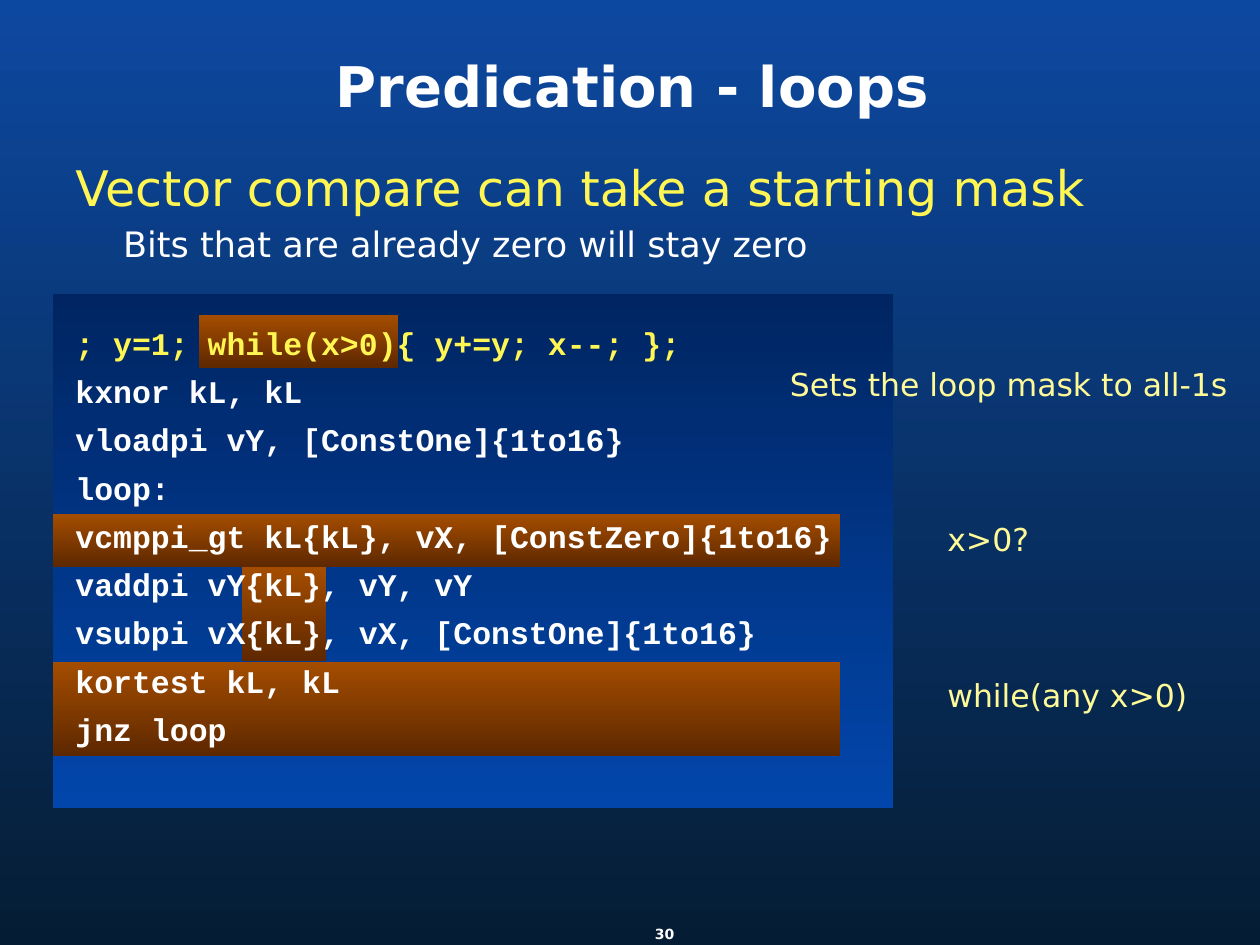
from pptx import Presentation
from pptx import util as u
from pptx.dml import color
from pptx.enum import shapes, text

COLORS = {
    "sky": "0D48A0", "night": "051D34",
    "panel_top": "002562", "panel_bottom": "0246AB",
    "mark_top": "A44D00", "mark_bottom": "5E2800",
    "white": "FFFFFF", "yellow": "FFF654", "pale": "FFFA98",
}
SANS, MONO = "DejaVu Sans", "Courier New"

CODE = [
    "; y=1; while(x>0){ y+=y; x--; };",
    "kxnor kL, kL",
    "vloadpi vY, [ConstOne]{1to16}",
    "loop:",
    "vcmppi_gt kL{kL}, vX, [ConstZero]{1to16}",
    "vaddpi vY{kL}, vY, vY",
    "vsubpi vX{kL}, vX, [ConstOne]{1to16}",
    "kortest kL, kL",
    "jnz loop",
]
HIGHLIGHTS = [  # left, top, width, height
    (1.92, 4.5, 0.67, 0.75),
    (1.58, 2.5, 1.58, 0.42),
    (0.42, 5.25, 6.25, 0.75),
    (0.42, 4.08, 6.25, 0.42),
]


def rgb(name):
    return color.RGBColor.from_string(COLORS[name])


def fill_gradient(fill, top, bottom):
    fill.gradient()
    fill.gradient_angle = 270
    for stop, name in zip(fill.gradient_stops, (top, bottom)):
        stop.color.rgb = rgb(name)


def add_block(slide, box, top, bottom):
    shape = slide.shapes.add_shape(
        shapes.MSO_SHAPE.RECTANGLE, *map(u.Inches, box))
    shape.shadow.inherit = False
    shape.line.fill.background()
    fill_gradient(shape.fill, top, bottom)


def write(paragraph, words, size, name, tint, bold=False, indent=0, **layout):
    paragraph.text = words
    font = {"size": u.Pt(size), "name": name, "bold": bold}
    for target, values in ((paragraph.font, font), (paragraph, layout)):
        for key, value in values.items():
            setattr(target, key, value)
    paragraph.font.color.rgb = rgb(tint)
    if indent:
        paragraph._p.get_or_add_pPr().set("marL", str(u.Inches(indent)))


def add_text(slide, box, lines):
    frame = slide.shapes.add_textbox(*map(u.Inches, box)).text_frame
    frame.word_wrap = True
    for index, line in enumerate(lines):
        paragraph = frame.add_paragraph() if index else frame.paragraphs[0]
        write(paragraph, **line)
    return frame


def add_title(slide, box):
    title = slide.shapes.title
    title.left, title.top, title.width, title.height = map(u.Inches, box)
    frame = title.text_frame
    frame.auto_size = text.MSO_AUTO_SIZE.NONE
    frame.vertical_anchor = text.MSO_ANCHOR.MIDDLE
    write(frame.paragraphs[0], "Predication - loops", 32, SANS, "white", True,
          alignment=text.PP_ALIGN.CENTER, line_spacing=0.9)


def add_body(slide, box):
    lines = [
        dict(words="Vector compare can take a starting mask", size=28,
             name=SANS, tint="yellow", line_spacing=0.9, space_after=u.Pt(6)),
        dict(words="Bits that are already zero will stay zero", size=20,
             name=SANS, tint="white", indent=0.38, line_spacing=0.9,
             space_after=u.Pt(6)),
    ]
    for index, words in enumerate(CODE):
        lines.append(dict(
            words=words, size=18, name=MONO, bold=True,
            tint="white" if index else "yellow",
            space_before=u.Pt(0 if index else 27.5), space_after=u.Pt(6)))
    add_text(slide, box, lines)


def add_comments(slide, box):
    comments = ["Sets the loop mask to all-1s", "x>0?", "while(any x>0)"]
    add_text(slide, box, [
        dict(words=words, size=18, name=SANS, tint="pale",
             indent=1.25 if index else 0, line_spacing=0.9,
             space_before=u.Pt(59.5 if index else 0), space_after=u.Pt(10))
        for index, words in enumerate(comments)])


def add_page_number(slide, box):
    frame = add_text(slide, box, [
        dict(words="30", size=8, name=SANS, tint="white", bold=True,
             alignment=text.PP_ALIGN.CENTER)])
    frame.vertical_anchor = text.MSO_ANCHOR.MIDDLE
    for side in ("left", "top", "right", "bottom"):
        setattr(frame, f"margin_{side}", 0)


def main():
    presentation = Presentation()
    presentation.slide_width = u.Inches(10)
    presentation.slide_height = u.Inches(7.5)
    slide = presentation.slides.add_slide(presentation.slide_layouts[5])
    fill_gradient(slide.background.fill, "sky", "night")

    # Code panel and highlighted parts
    add_block(slide, (0.42, 2.33, 6.67, 4.08), "panel_top", "panel_bottom")
    for box in HIGHLIGHTS:
        add_block(slide, box, "mark_top", "mark_bottom")

    # Text
    add_title(slide, (0.42, 0.25, 9.2, 0.92))
    add_body(slide, (0.5, 1.25, 9, 5.45))
    add_comments(slide, (6.17, 2.88, 3.83, 3.78))
    add_page_number(slide, (5.05, 7.25, 0.45, 0.33))

    presentation.save("out.pptx")


if __name__ == "__main__":
    main()
